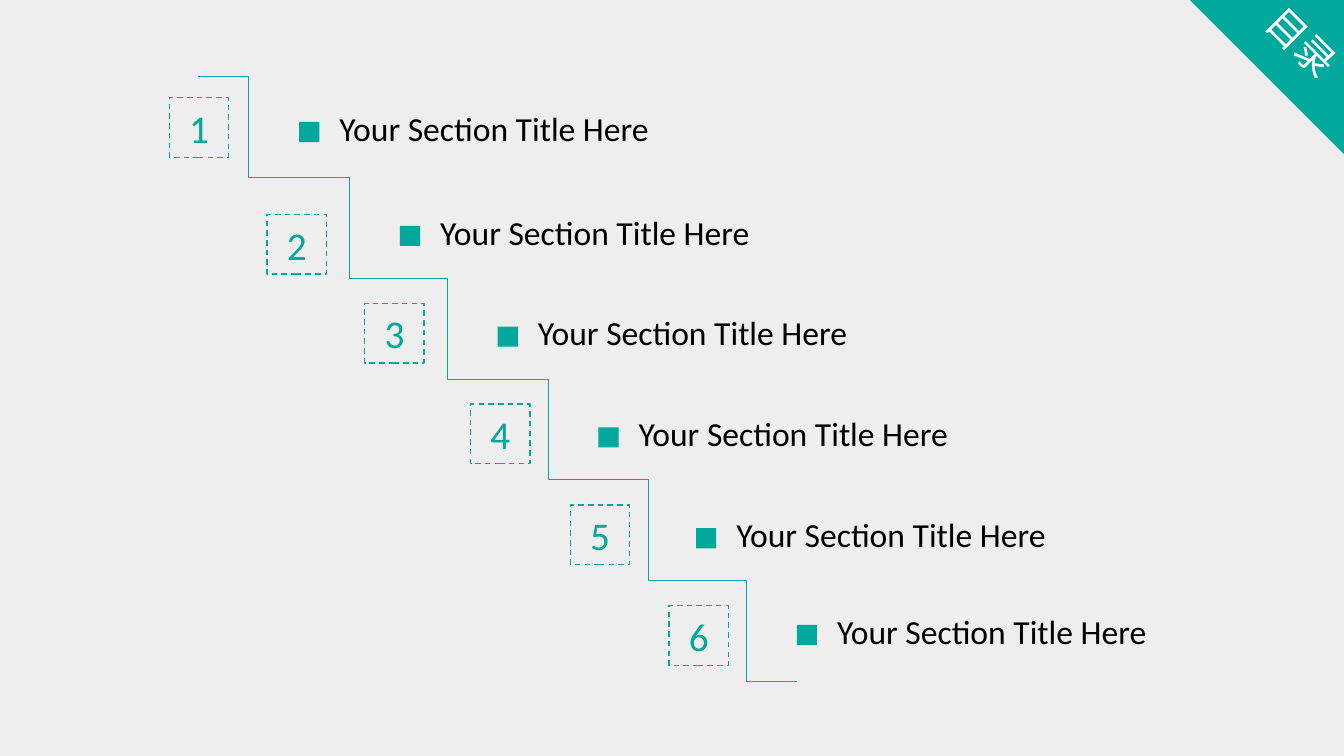
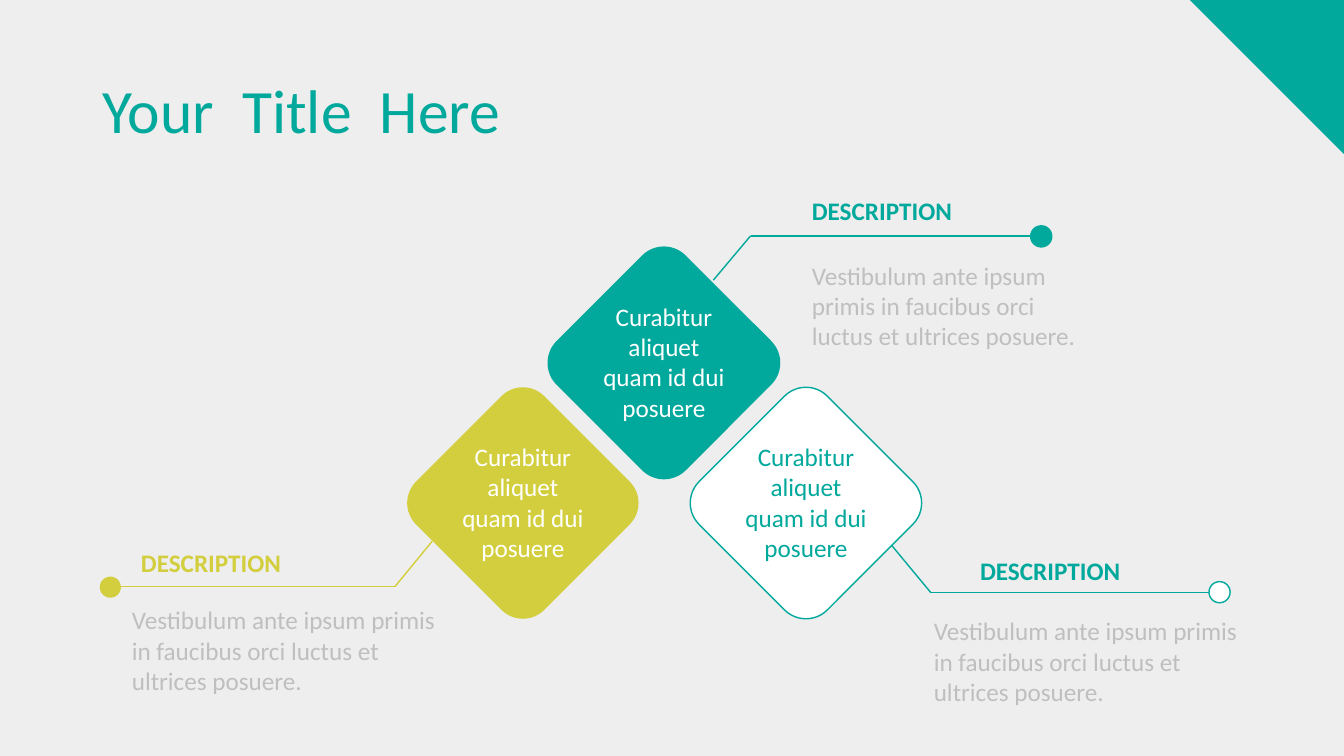
import dataclasses

import lxml.etree
import pptx
import pptx.dml.color
import pptx.enum.dml
import pptx.enum.shapes
import pptx.enum.text
import pptx.oxml.ns
import pptx.util


@dataclasses.dataclass(frozen=True)
class Theme:
    teal: str = "01A89C"
    lime: str = "D3CE3D"
    white: str = "FFFFFF"
    black: str = "000000"
    grey: str = "BFBFBF"
    background: str = "EEEEEE"
    font: str = "Calibri"
    title: int = 44
    number: int = 28
    section: int = 24
    body: int = 18
    thin: float = 0.5
    line: float = 1


theme = Theme()
rgb = pptx.dml.color.RGBColor.from_string
shapes = pptx.enum.shapes.MSO_SHAPE
connectors = pptx.enum.shapes.MSO_CONNECTOR
align = pptx.enum.text.PP_ALIGN
anchors = pptx.enum.text.MSO_ANCHOR

# Slide grid: 7.5 rows of square cells, 13.34 columns wide
presentation = pptx.Presentation()
presentation.slide_width = pptx.util.Inches(13.34)
presentation.slide_height = pptx.util.Inches(7.5)
columns, rows = 13.34, 7.5
cell = presentation.slide_height / rows


def add_box(slide, kind, box, fill=None, line=None, text="", size=theme.body, color=theme.black,
            alignment=align.LEFT, anchor=anchors.TOP, bold=False):
    """Add a preset shape, or a text box when kind is None; box is in grid cells."""
    place = [round(cell * value) for value in box]
    if kind is None:
        shape = slide.shapes.add_textbox(*place)
    else:
        shape = slide.shapes.add_shape(kind, *place)
        shape.shadow.inherit = False
        if fill:
            shape.fill.solid()
            shape.fill.fore_color.rgb = rgb(fill)
        else:
            shape.fill.background()
        if line:
            shape.line.color.rgb = rgb(line)
            shape.line.width = pptx.util.Pt(theme.line)
        else:
            shape.line.fill.background()
    if text:
        shape.text_frame.word_wrap = True
        shape.text_frame.vertical_anchor = anchor
        shape.text_frame.text = text
        paragraph = shape.text_frame.paragraphs[0]
        paragraph.alignment = alignment
        font = paragraph.runs[0].font
        font.name, font.size, font.bold = theme.font, pptx.util.Pt(size), bold
        font.color.rgb = rgb(color)
    return shape


def add_line(slide, kind, ends, color, width):
    """Add a connector; ends are start and finish in grid cells."""
    connector = slide.shapes.add_connector(kind, *[round(cell * value) for value in ends])
    connector.line.color.rgb = rgb(color)
    connector.line.width = pptx.util.Pt(width)
    properties = connector._element.spPr
    lxml.etree.SubElement(properties, pptx.oxml.ns.qn("a:effectLst"))


# Shared background and corner
background = presentation.slide_master.background.fill
background.solid()
background.fore_color.rgb = rgb(theme.background)
blank_layout = presentation.slide_layouts[6]
contents_slide, diagram_slide = [presentation.slides.add_slide(blank_layout) for _ in range(2)]
corner = 1.53
for slide in presentation.slides:
    triangle = add_box(slide, shapes.RIGHT_TRIANGLE, (columns - corner, 0, corner, corner), theme.teal)
    triangle.rotation = 180

# Contents: corner label
corner_label = add_box(contents_slide, None, (12.33, -0.17, 1.15, 1.21), text="目录", size=theme.number,
                       color=theme.white, alignment=align.CENTER, anchor=anchors.MIDDLE)
corner_label.rotation = 45
corner_label.text_frame.paragraphs[0].line_spacing = 0.9

# Contents: staircase, one row per section
step_lefts = (1.97, 2.97, 3.94, 4.94, 5.94, 6.91)
marker_lefts = (*step_lefts[1:4], 5.94, 6.91, 7.91)
marker_lefts = (2.97, 3.97, 4.94, 5.94, 6.91, 7.91)
marker_tops = (1.21, 2.24, 3.24, 4.24, 5.24, 6.2)
number_lefts = (1.68, 2.65, 3.62, 4.67, 5.66, 6.64)
number_tops = (0.97, 2.13, 3.01, 4.01, 5.01, 6.01)
number_side, marker_side = 0.59, 0.2
sections = zip(step_lefts, number_lefts, number_tops, marker_lefts, marker_tops)
for index, (step_left, number_left, number_top, marker_left, marker_top) in enumerate(sections):
    step_top = 0.76 + index
    add_line(contents_slide, connectors.ELBOW, (step_left, step_top, step_left + 1, step_top + 1),
             theme.teal, theme.thin)
    number = add_box(contents_slide, shapes.RECTANGLE, (number_left, number_top, number_side, number_side),
                     line=theme.teal, text=str(index + 1), size=theme.number, color=theme.teal,
                     alignment=align.CENTER, anchor=anchors.MIDDLE)
    number.line.dash_style = pptx.enum.dml.MSO_LINE.DASH
    add_box(contents_slide, shapes.RECTANGLE, (marker_left, marker_top, marker_side, marker_side), theme.teal)
    add_box(contents_slide, None, (marker_left + 0.3, marker_top - 0.19, 3.4, 0.5),
            text="Your Section Title Here", size=theme.section)

# Diagram: title with widened word gaps
title = add_box(diagram_slide, None, (0.92, 0.4, 11.5, 1.45), text="Your", size=theme.title,
                color=theme.teal, anchor=anchors.MIDDLE)
title_paragraph = title.text_frame.paragraphs[0]
title_paragraph.line_spacing = 0.9
for word in (" ", "Title", " ", "Here"):
    run = title_paragraph.add_run()
    run.text = word
    run.font.name, run.font.size = theme.font, pptx.util.Pt(theme.title)
    run.font.color.rgb = rgb(theme.teal)
    if word == " ":
        run._r.get_or_add_rPr().set("spc", "1000")

# Diagram: diamonds as left, top, fill, outline, text colour
diamond_side = 1.8
diamonds = (
    (5.69, 2.7, theme.teal, theme.teal, theme.white),
    (4.29, 4.09, theme.lime, None, theme.white),
    (7.1, 4.09, theme.white, theme.teal, theme.teal),
)
for left, top, fill, outline, text_color in diamonds:
    diamond = add_box(diagram_slide, shapes.ROUNDED_RECTANGLE, (left, top, diamond_side, diamond_side),
                      fill, outline)
    diamond.rotation = 315
    add_box(diagram_slide, None, (left + 0.14, top + 0.24, 1.52, 1.3),
            text="Curabitur aliquet quam id dui posuere", color=text_color, alignment=align.CENTER)

# Diagram: callouts as leader points, dot, heading corner, body box, colours
callouts = (
    ((7.08, 2.78, 7.45, 2.34, 10.22), (10.23, 2.24), (7.96, 1.89), (7.96, 2.53, 2.97, 1),
     theme.teal, theme.teal, theme.teal),
    ((8.85, 5.41, 9.24, 5.88, 12.08), (12, 5.77), (9.63, 5.46), (9.17, 6.06, 3.22, 1),
     theme.teal, theme.white, theme.teal),
    ((4.29, 5.37, 3.92, 5.82, 1.13), (0.99, 5.72), (1.3, 5.38), (1.21, 5.95, 3.22, 1),
     theme.lime, theme.lime, None),
)
for leader, dot, heading, body, color, dot_fill, dot_line in callouts:
    start_x, start_y, bend_x, bend_y, end_x = leader
    add_line(diagram_slide, connectors.STRAIGHT, (start_x, start_y, bend_x, bend_y), color, theme.line)
    add_line(diagram_slide, connectors.STRAIGHT, (bend_x, bend_y, end_x, bend_y), color, theme.line)
    add_box(diagram_slide, shapes.OVAL, (*dot, 0.21, 0.21), dot_fill, dot_line)
    add_box(diagram_slide, None, (*heading, 2.09, 0.4), text="DESCRIPTION", color=color, bold=True)
    add_box(diagram_slide, None, body, color=theme.grey,
            text="Vestibulum ante ipsum primis in faucibus orci luctus et ultrices posuere.")

presentation.save("out.pptx")
